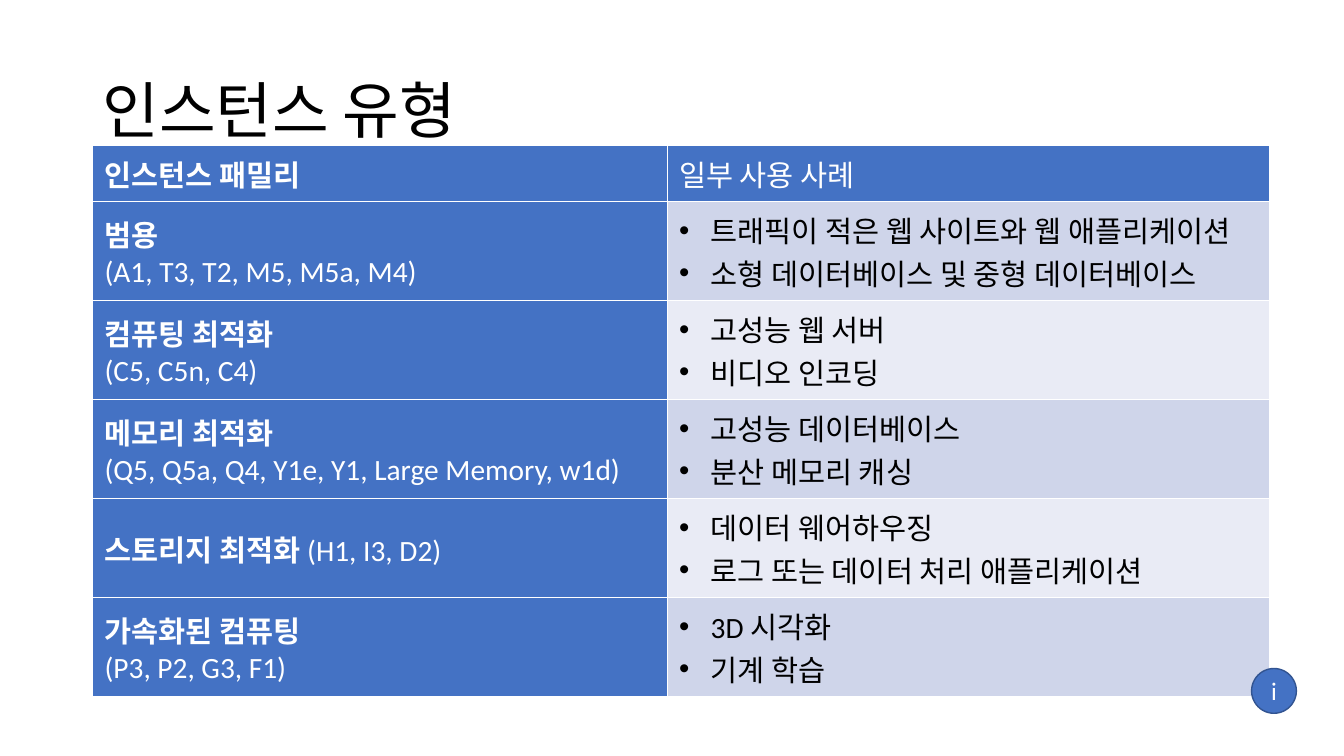
"""Build the slide that lists instance families and their use cases."""
import pptx
import pptx.dml.color
import pptx.enum.shapes
import pptx.enum.text
import pptx.oxml
import pptx.oxml.ns
import pptx.util

Pt = pptx.util.Pt
RGBColor = pptx.dml.color.RGBColor
MIDDLE = pptx.enum.text.MSO_ANCHOR.MIDDLE

FONT = "Calibri"
BLACK = RGBColor(0x00, 0x00, 0x00)
WHITE = RGBColor(0xFF, 0xFF, 0xFF)
BLUE = RGBColor(0x44, 0x72, 0xC4)
DARK_BLUE = RGBColor(0x32, 0x54, 0x91)
BANDS = (RGBColor(0xCF, 0xD5, 0xEA), RGBColor(0xE9, 0xEB, 0xF5))

TABLE_SIZE = 21
COLUMN_WIDTHS = (410.4, 430.5)
HEADER_HEIGHT = 39.3
ROW_HEIGHT = 70.3
BULLET_INDENT = 22.5

HEADINGS = ("인스턴스 패밀리", "일부 사용 사례")
FAMILIES = (
    ("범용", "\v", "(A1, T3, T2, M5, M5a, M4)",
     ("트래픽이 적은 웹 사이트와 웹 애플리케이션", "소형 데이터베이스 및 중형 데이터베이스")),
    ("컴퓨팅 최적화", "\v", "(C5, C5n, C4)", ("고성능 웹 서버", "비디오 인코딩")),
    ("메모리 최적화", "\v", "(Q5, Q5a, Q4, Y1e, Y1, Large Memory, w1d)",
     ("고성능 데이터베이스", "분산 메모리 캐싱")),
    ("스토리지 최적화", " ", "(H1, I3, D2)",
     ("데이터 웨어하우징", "로그 또는 데이터 처리 애플리케이션")),
    ("가속화된 컴퓨팅", "\v", "(P3, P2, G3, F1)", ("3D 시각화", "기계 학습")),
)


def format_run(run, size, color, bold=False):
    run.font.name = FONT
    run.font.size = Pt(size)
    run.font.color.rgb = color
    run.font.bold = bold


def add_title(slide, text):
    title = slide.shapes.title
    title.left, title.top, title.width, title.height = Pt(66), Pt(28.8), Pt(828), Pt(104.4)
    title.text_frame.text = text
    title.text_frame.vertical_anchor = MIDDLE
    paragraph = title.text_frame.paragraphs[0]
    paragraph.alignment = pptx.enum.text.PP_ALIGN.LEFT
    paragraph.line_spacing = 0.9
    format_run(paragraph.runs[0], 44, BLACK)


def style_cell(cell, color):
    cell.margin_left = cell.margin_right = Pt(8.4)
    cell.margin_top = cell.margin_bottom = Pt(5)
    properties = cell._tc.get_or_add_tcPr()
    for side in ("lnL", "lnR", "lnT", "lnB"):
        properties.append(pptx.oxml.parse_xml(
            f'<a:{side} {pptx.oxml.ns.nsdecls("a")} w="{Pt(1)}"><a:solidFill>'
            f'<a:srgbClr val="{WHITE}"/></a:solidFill></a:{side}>'))
    cell.fill.solid()
    cell.fill.fore_color.rgb = color


def fill_heading(cell, text, bold):
    style_cell(cell, BLUE)
    cell.text_frame.text = text
    format_run(cell.text_frame.paragraphs[0].runs[0], TABLE_SIZE, WHITE, bold)


def fill_family(cell, family, separator, models):
    style_cell(cell, BLUE)
    cell.vertical_anchor = MIDDLE
    paragraph = cell.text_frame.paragraphs[0]
    paragraph.text = family
    format_run(paragraph.runs[0], TABLE_SIZE, WHITE, True)
    if separator == "\v":
        paragraph.add_line_break()
        separator = ""
    run = paragraph.add_run()
    run.text = separator + models
    format_run(run, TABLE_SIZE, WHITE)


def fill_use_cases(cell, use_cases, color):
    style_cell(cell, color)
    cell.vertical_anchor = MIDDLE
    cell.text_frame.text = "\n".join(use_cases)
    for paragraph in cell.text_frame.paragraphs:
        properties = paragraph._p.get_or_add_pPr()
        properties.set("marL", str(Pt(BULLET_INDENT)))
        properties.set("indent", str(-Pt(BULLET_INDENT)))
        for element in ('buFont typeface="Arial"', 'buChar char="•"'):
            properties.append(pptx.oxml.parse_xml(
                f'<a:{element} {pptx.oxml.ns.nsdecls("a")}/>'))
        format_run(paragraph.runs[0], TABLE_SIZE, BLACK)


def add_family_table(slide):
    height = HEADER_HEIGHT + ROW_HEIGHT * len(FAMILIES)
    table = slide.shapes.add_table(
        len(FAMILIES) + 1, len(HEADINGS), Pt(66.3), Pt(103.7),
        Pt(sum(COLUMN_WIDTHS)), Pt(height)).table
    for column, width in zip(table.columns, COLUMN_WIDTHS):
        column.width = Pt(width)
    table.rows[0].height = Pt(HEADER_HEIGHT)
    for index, heading in enumerate(HEADINGS):
        fill_heading(table.cell(0, index), heading, index == 0)
    for row, (family, separator, models, use_cases) in enumerate(FAMILIES, 1):
        table.rows[row].height = Pt(ROW_HEIGHT)
        fill_family(table.cell(row, 0), family, separator, models)
        fill_use_cases(table.cell(row, 1), use_cases, BANDS[(row - 1) % 2])


def add_info_badge(slide):
    badge = slide.shapes.add_shape(
        pptx.enum.shapes.MSO_SHAPE.OVAL, Pt(894), Pt(477.5), Pt(32), Pt(32))
    badge.shadow.inherit = False
    badge.fill.solid()
    badge.fill.fore_color.rgb = BLUE
    badge.line.color.rgb = DARK_BLUE
    badge.line.width = Pt(1)
    badge.text_frame.text = "i"
    badge.text_frame.vertical_anchor = MIDDLE
    paragraph = badge.text_frame.paragraphs[0]
    paragraph.alignment = pptx.enum.text.PP_ALIGN.CENTER
    format_run(paragraph.runs[0], 18, WHITE)


def main():
    presentation = pptx.Presentation()
    presentation.slide_width = Pt(960)
    presentation.slide_height = Pt(540)
    slide = presentation.slides.add_slide(presentation.slide_layouts[5])
    add_title(slide, "인스턴스 유형")
    add_family_table(slide)
    add_info_badge(slide)
    presentation.save("out.pptx")


if __name__ == "__main__":
    main()
